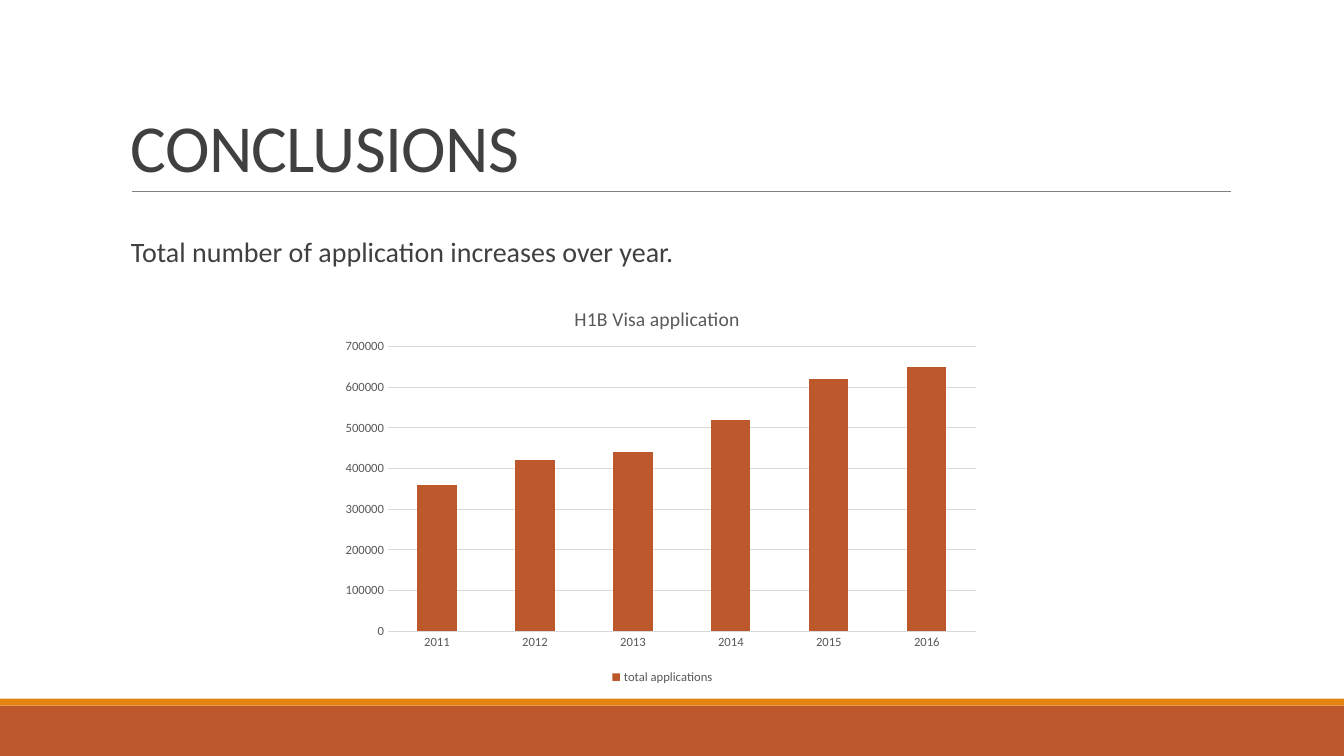
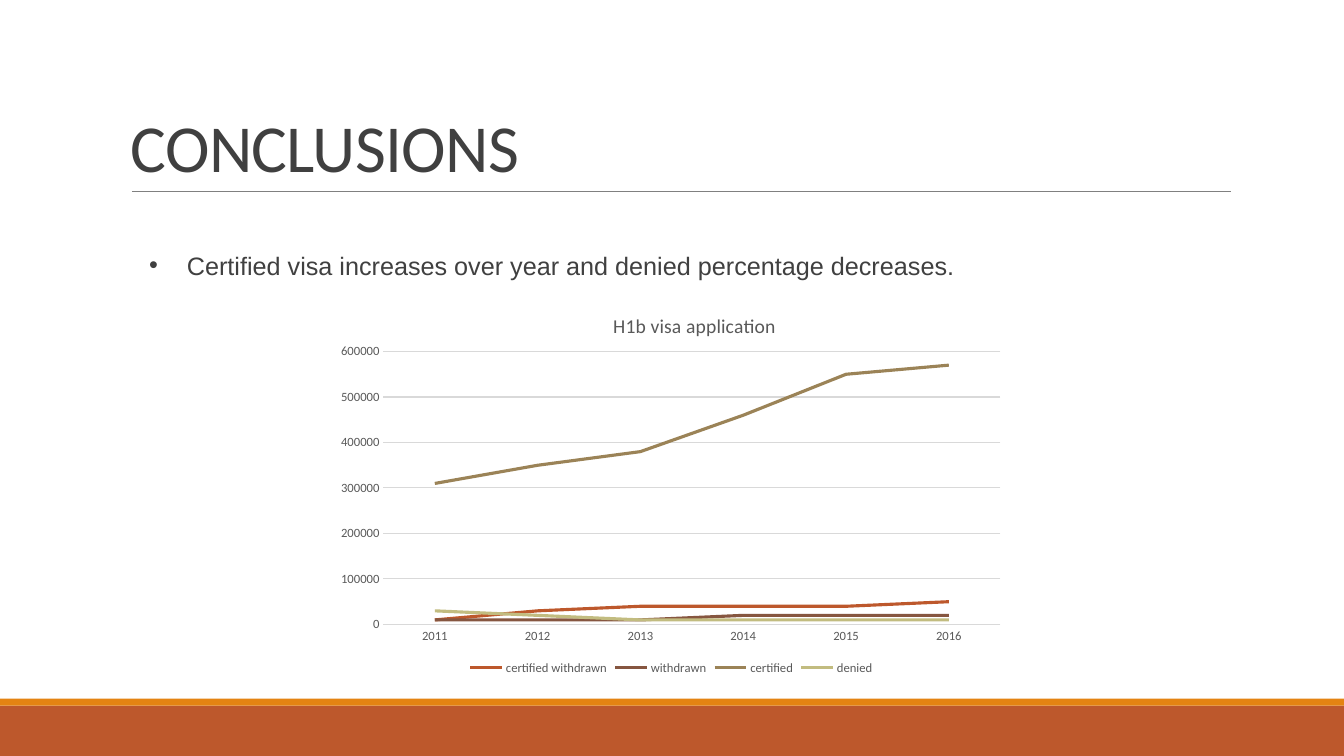
from lxml.etree import Element, SubElement
from pptx import Presentation
from pptx.chart.data import CategoryChartData
from pptx.dml.color import RGBColor
from pptx.enum.chart import XL_CHART_TYPE, XL_LEGEND_POSITION, XL_TICK_MARK
from pptx.enum.shapes import MSO_CONNECTOR, MSO_SHAPE
from pptx.enum.text import MSO_ANCHOR
from pptx.oxml.ns import qn
from pptx.util import Pt

HUES = {"rust": "BD582C", "amber": "E48312", "rule": "808080", "ink": "404040",
        "label": "595959", "grid": "D9D9D9", "brown": "865640", "tan": "9B8357",
        "sand": "C2BC80"}
WIDE, HIGH = 960, 540
YEARS = ["2011", "2012", "2013", "2014", "2015", "2016"]
TITLE = {"size": 48, "name": "Calibri", "hue": "ink"}
BODY = {"size": 20, "name": "Calibri", "hue": "ink"}
POINT = {"size": 18, "name": "Arial", "hue": "ink"}
LABEL = {"size": 9, "name": "Calibri", "hue": "label"}
HEAD = {"size": 14, "name": "Calibri", "hue": "label", "bold": False}
AXIS = {"major_tick_mark": XL_TICK_MARK.NONE, "minor_tick_mark": XL_TICK_MARK.NONE}
LEGEND = {"position": XL_LEGEND_POSITION.BOTTOM, "include_in_layout": False}
PLOT = {"x": 0.08, "y": 0.16, "w": 0.9, "h": 0.7}


def hue(name):
    """Return a palette colour."""
    return RGBColor.from_string(HUES[name])


def put(obj, vals):
    """Set attributes from a dict."""
    for key, val in vals.items():
        setattr(obj, key, val)


def style(font, vals):
    """Apply size, name, weight and colour to a font."""
    put(font, {**vals, "size": Pt(vals["size"])} | {})if "hue" not in vals else style(
        font, {key: val for key, val in vals.items() if key != "hue"})
    if "hue" in vals:
        font.color.rgb = hue(vals["hue"])


def stroke(line, name, width):
    """Colour a line and set its width."""
    line.color.rgb = hue(name)
    line.width = Pt(width)


def band(slide, box, name):
    """Draw a plain filled bar."""
    bar = slide.shapes.add_shape(MSO_SHAPE.RECTANGLE, *map(Pt, box))
    bar.shadow.inherit = False
    bar.fill.solid()
    bar.fill.fore_color.rgb = hue(name)
    bar.line.fill.background()


def text(slide, box, words, font, space, **frame):
    """Place one paragraph and return it."""
    body = slide.shapes.add_textbox(*map(Pt, box)).text_frame
    put(body, {"word_wrap": True, **frame})
    para = body.paragraphs[0]
    para.line_spacing = space
    run = para.add_run()
    run.text = words
    style(run.font, font)
    return para


def base(deck, words):
    """Add a slide with its bands, title and rule."""
    slide = deck.slides.add_slide(deck.slide_layouts[6])
    band(slide, (0, 504, WIDE, 36), "rust")
    band(slide, (0, 499, WIDE, 5), "amber")
    rule = slide.shapes.add_connector(
        MSO_CONNECTOR.STRAIGHT, Pt(94.3), Pt(136.8), Pt(879), Pt(136.8))
    stroke(rule.line, "rule", 0.5)
    SubElement(rule._element.spPr, qn("a:effectLst"))
    para = text(slide, (86.4, 22.3, 792, 114.5), words, TITLE, 0.85,
                vertical_anchor=MSO_ANCHOR.BOTTOM)
    para.runs[0].font._element.set("spc", "-50")
    return slide


def layout(host, spot, vals):
    """Fix a chart part at fractions of the chart box."""
    for old in host.findall(qn("c:layout")):
        host.remove(old)
    node = Element(qn("c:layout"))
    host.insert(spot, node)
    area = SubElement(node, qn("c:manualLayout"))
    if "w" in vals:
        SubElement(area, qn("c:layoutTarget")).set("val", "inner")
    for key in "xy":
        SubElement(area, qn(f"c:{key}Mode")).set("val", "edge")
    for key, val in vals.items():
        SubElement(area, qn(f"c:{key}")).set("val", str(val))


def graph(slide, box, kind, head, left, top, rows):
    """Add a styled chart of yearly rows and return it."""
    data = CategoryChartData(number_format="0")
    data.categories = YEARS
    for name, _, vals in rows:
        data.add_series(name, vals)
    chart = slide.shapes.add_chart(kind, *map(Pt, box), data).chart
    style(chart.font, LABEL)
    chart.has_title = True
    title = chart.chart_title
    title.text_frame.text = head
    style(title.text_frame.paragraphs[0].runs[0].font, HEAD)
    layout(title._element, 1, {"x": left, "y": 0.05})
    chart.has_legend = True
    put(chart.legend, LEGEND)
    style(chart.legend.font, LABEL)
    for axis in (chart.category_axis, chart.value_axis):
        put(axis, AXIS)
        style(axis.tick_labels.font, LABEL)
        axis.format.line.fill.background()
    put(chart.value_axis, {"minimum_scale": 0, "maximum_scale": top,
                           "major_unit": 100000, "has_major_gridlines": True})
    stroke(chart.value_axis.major_gridlines.format.line, "grid", 0.75)
    plot = chart.plots[0]
    plot.vary_by_categories = False
    layout(plot._element.getparent(), 0, PLOT)
    return chart


def total(deck):
    """Build the slide on total applications."""
    slide = base(deck, "CONCLUSIONS")
    text(slide, (93.6, 167, 784.8, 316.8),
         "Total number of application increases over year.", BODY, 0.9,
         margin_left=0, margin_right=0)
    rows = [("total applications", "rust",
             (360000, 420000, 440000, 520000, 620000, 650000))]
    chart = graph(slide, (239.8, 200.9, 466.6, 290.9), XL_CHART_TYPE.COLUMN_STACKED,
                  "H1B Visa application", 0.36, 700000, rows)
    put(chart.plots[0], {"gap_width": 150, "overlap": 100})
    fill = chart.series[0].format.fill
    fill.solid()
    fill.fore_color.rgb = hue(rows[0][1])


def status(deck):
    """Build the slide on applications by status."""
    slide = base(deck, "CONCLUSIONS")
    rows = [
        ("certified withdrawn", "rust", (10000, 30000, 40000, 40000, 40000, 50000)),
        ("withdrawn", "brown", (10000, 10000, 10000, 20000, 20000, 20000)),
        ("certified", "tan", (310000, 350000, 380000, 460000, 550000, 570000)),
        ("denied", "sand", (30000, 20000, 10000, 10000, 10000, 10000)),
    ]
    chart = graph(slide, (234.7, 206.6, 489.6, 278.6), XL_CHART_TYPE.LINE,
                  "H1b visa application", 0.41, 600000, rows)
    stroke(chart.category_axis.format.line, "grid", 0.75)
    for line, row in zip(chart.series, rows):
        line.smooth = False
        stroke(line.format.line, row[1], 2.25)
    para = text(slide, (99.4, 153.4, 779, 44.6),
                "Certified visa increases over year and denied percentage decreases.",
                POINT, 2)
    props = para._element.get_or_add_pPr()
    props.set("marL", str(Pt(27)))
    props.set("indent", str(Pt(-27)))
    SubElement(props, qn("a:buFont")).set("typeface", "Arial")
    SubElement(props, qn("a:buChar")).set("char", "•")


def main():
    """Build and save the deck."""
    deck = Presentation()
    put(deck, {"slide_width": Pt(WIDE), "slide_height": Pt(HIGH)})
    total(deck)
    status(deck)
    deck.save("out.pptx")


if __name__ == "__main__":
    main()
